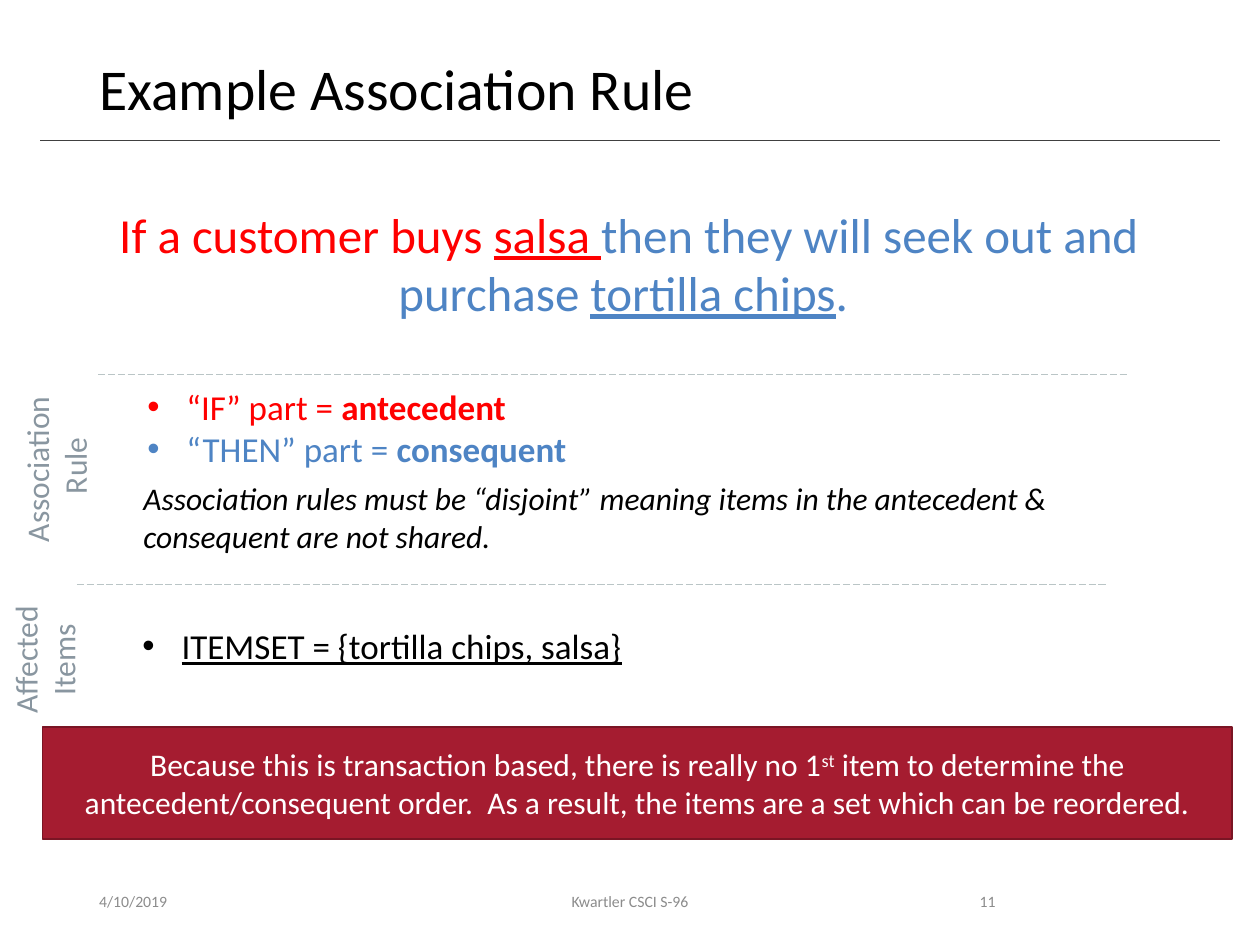
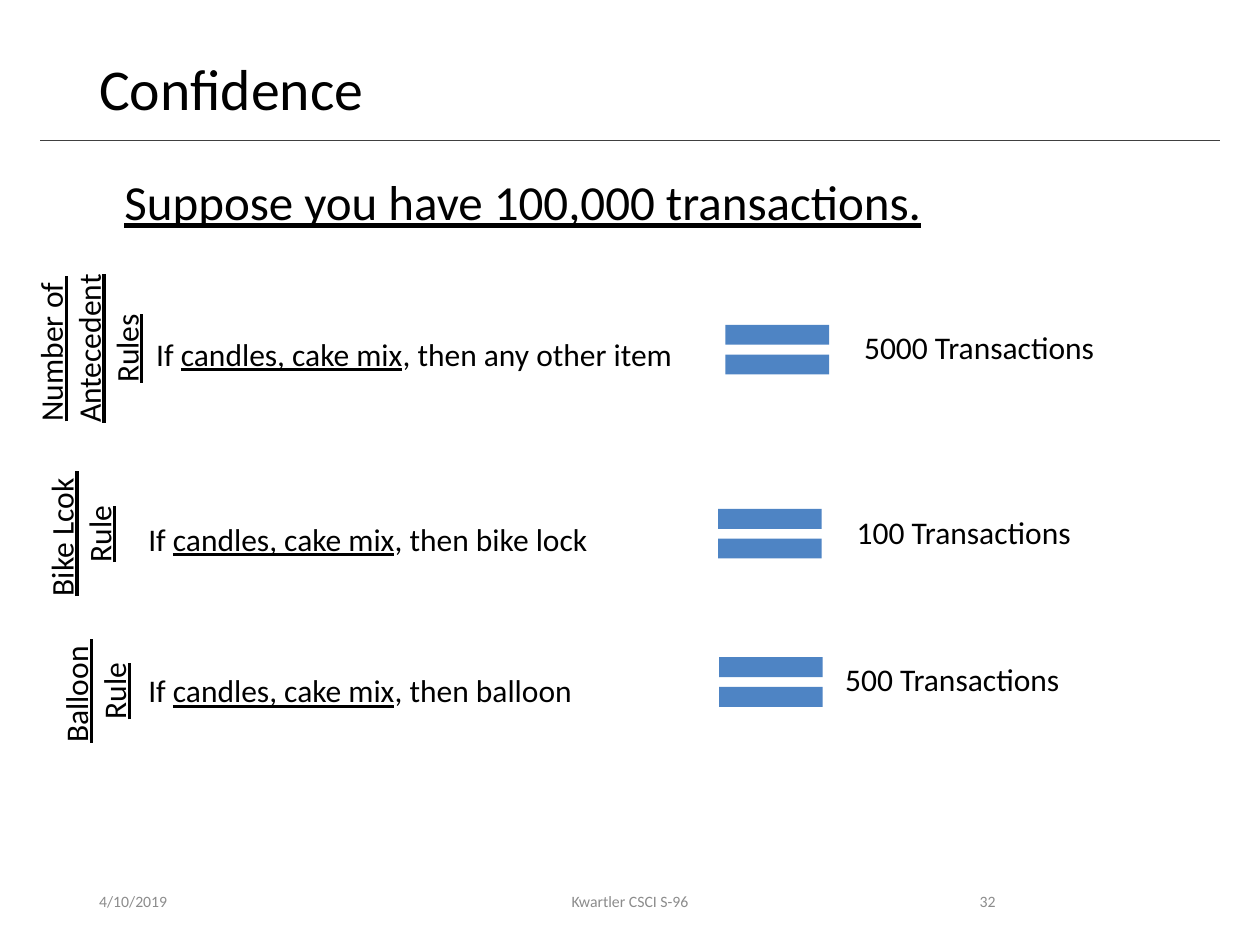
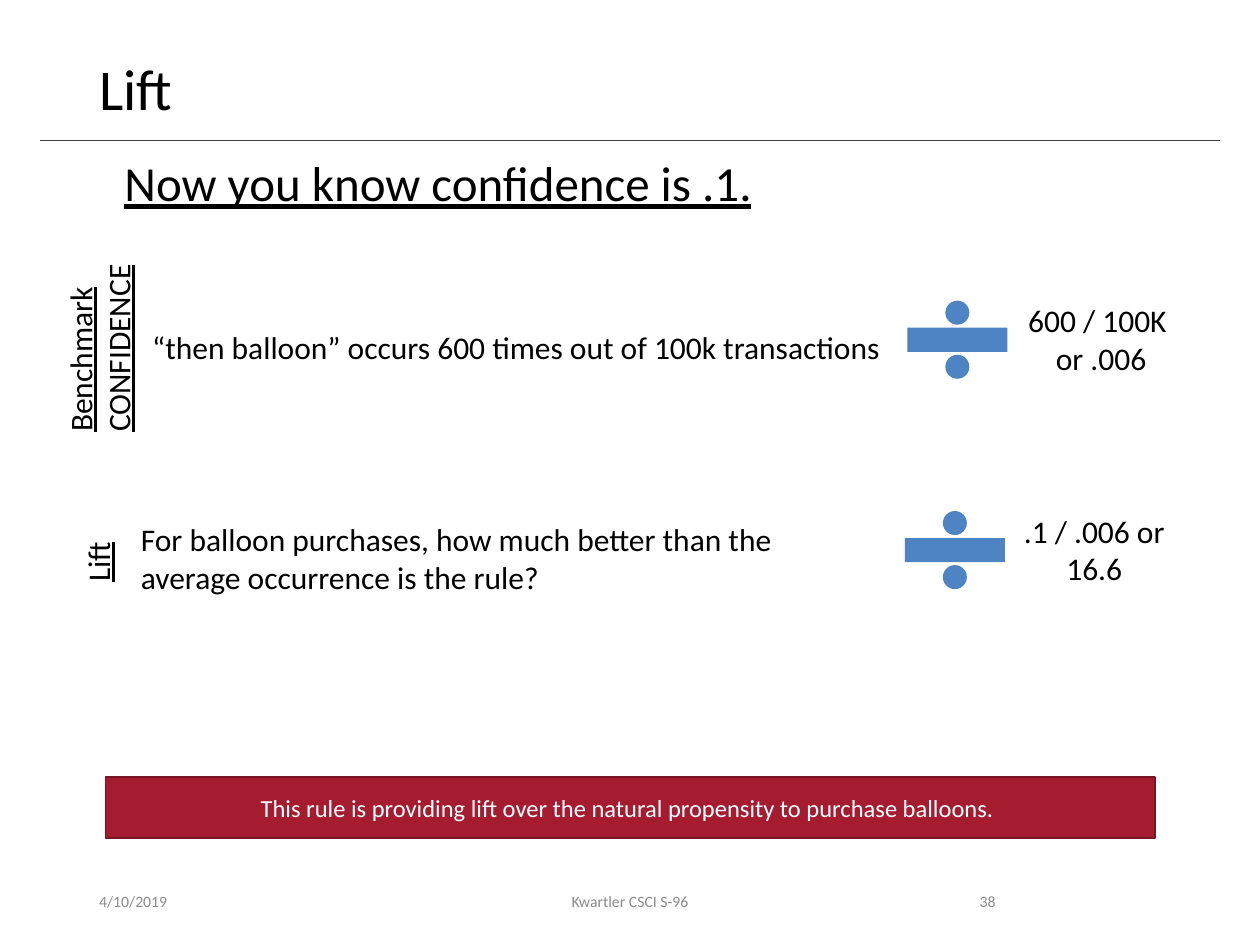
from dataclasses import dataclass

from lxml import etree
from pptx import Presentation
from pptx import util as u
from pptx.dml.color import RGBColor
from pptx.enum import dml, shapes, text
from pptx.oxml import ns

Cm = u.Cm
LEFT, CENTER, RIGHT = text.PP_ALIGN.LEFT, text.PP_ALIGN.CENTER, text.PP_ALIGN.RIGHT


@dataclass(frozen=True)
class Theme:
    font: str = "Calibri"
    ink: str = "000000"
    paper: str = "FFFFFF"
    muted: str = "8C8C8C"
    label: str = "8996A0"
    rule: str = "404040"
    divider: str = "BAC5C6"
    antecedent: str = "FF0000"
    accent: str = "4E84C4"
    crimson: str = "A51C30"
    crimson_edge: str = "7A1524"
    title_size: float = 33
    lead_size: float = 28
    bullet_size: float = 20
    body_size: float = 18
    small_size: float = 14
    footer_size: float = 9


THEME = Theme()


@dataclass(frozen=True)
class Box:
    """A place on the slide, in centimetres."""
    left: float
    top: float
    width: float
    height: float

    def lengths(self) -> tuple:
        return Cm(self.left), Cm(self.top), Cm(self.width), Cm(self.height)


@dataclass(frozen=True)
class Run:
    text: str
    color: str | None = None
    bold: bool = False
    italic: bool = False
    underline: bool = False
    raised: bool = False


@dataclass(frozen=True)
class Step:
    """One row: upright label, statement, operator sign and result."""
    label: list
    label_box: Box
    statement: list
    statement_box: Box
    sign_box: Box
    result: list
    result_box: Box
    wrap: bool = False


def rgb(code: str) -> RGBColor:
    return RGBColor.from_string(code)


def add_bullet(paragraph) -> None:
    properties = paragraph._p.get_or_add_pPr()
    properties.set("marL", str(Cm(0.79)))
    properties.set("indent", str(-Cm(0.79)))
    etree.SubElement(properties, ns.qn("a:buFont")).set("typeface", "Arial")
    etree.SubElement(properties, ns.qn("a:buChar")).set("char", "•")


def write(frame, paragraphs: list, *, size: float = THEME.body_size,
          color: str = THEME.ink, align=LEFT, anchor=text.MSO_ANCHOR.TOP,
          underline: bool = False, bullets: bool = False, wrap: bool = True,
          grow: bool = False, spacing: float | None = None) -> None:
    """Fill a frame; each paragraph is a string or a list of runs."""
    frame.word_wrap = wrap
    frame.vertical_anchor = anchor
    frame.auto_size = (text.MSO_AUTO_SIZE.SHAPE_TO_FIT_TEXT if grow
                       else text.MSO_AUTO_SIZE.NONE)
    for index, content in enumerate(paragraphs):
        paragraph = frame.add_paragraph() if index else frame.paragraphs[0]
        paragraph.alignment = align
        if spacing:
            paragraph.line_spacing = spacing
        if bullets:
            add_bullet(paragraph)
        for part in [Run(content)] if isinstance(content, str) else content:
            run = paragraph.add_run()
            run.text = part.text
            font = run.font
            font.name, font.size = THEME.font, u.Pt(size)
            font.color.rgb = rgb(part.color or color)
            font.bold, font.italic = part.bold, part.italic
            font.underline = underline or part.underline
            if part.raised:
                run._r.get_or_add_rPr().set("baseline", "30000")


def add_text(slide, box: Box, paragraphs: list, *, rotation: float = 0, **style) -> None:
    holder = slide.shapes.add_textbox(*box.lengths())
    holder.rotation = rotation
    write(holder.text_frame, paragraphs, **style)


def add_upright(slide, box: Box, lines: list, **style) -> None:
    add_text(slide, box, lines, rotation=270, wrap=False, grow=True, **style)


def add_line(slide, left: float, right: float, y: float, color: str, dash=None) -> None:
    line = slide.shapes.add_connector(shapes.MSO_CONNECTOR.STRAIGHT,
                                      Cm(left), Cm(y), Cm(right), Cm(y))
    line.line.color.rgb = rgb(color)
    line.line.width = u.Pt(0.5)
    if dash:
        line.line.dash_style = dash
    etree.SubElement(line._element.spPr, ns.qn("a:effectLst"))


def add_filled(slide, kind, box: Box, fill: str, edge: str | None = None):
    shape = slide.shapes.add_shape(kind, *box.lengths())
    shape.shadow.inherit = False
    shape.fill.solid()
    shape.fill.fore_color.rgb = rgb(fill)
    if edge:
        shape.line.color.rgb = rgb(edge)
        shape.line.width = u.Pt(1)
    else:
        shape.line.fill.background()
    return shape


def add_banner(slide, box: Box, message: list, size: float) -> None:
    banner = add_filled(slide, shapes.MSO_SHAPE.RECTANGLE, box,
                        THEME.crimson, THEME.crimson_edge)
    write(banner.text_frame, message, size=size, color=THEME.paper,
          align=CENTER, anchor=text.MSO_ANCHOR.MIDDLE)


def add_lead(slide, box: Box, sentence: str) -> None:
    add_text(slide, box, [sentence], size=THEME.lead_size, underline=True,
             wrap=False, grow=True)


def add_steps(slide, steps: list[Step], sign, label_align, result_align) -> None:
    for step in steps:
        add_text(slide, step.statement_box, step.statement, wrap=step.wrap, grow=True)
        add_upright(slide, step.label_box, step.label, underline=True, align=label_align)
        add_text(slide, step.result_box, step.result, align=result_align,
                 wrap=False, grow=True)
        add_filled(slide, sign, step.sign_box, THEME.accent)


def start_slide(deck, title: str, number: int):
    """Add a slide with the shared title, rule and footer."""
    slide = deck.slides.add_slide(deck.slide_layouts[6])
    add_line(slide, 0.81, 24.59, 2.84, THEME.rule)
    add_text(slide, Box(1.75, 1.02, 21.89, 1.65), [title], size=THEME.title_size,
             anchor=text.MSO_ANCHOR.MIDDLE, spacing=0.9)
    for left, width, content, align in (
            (1.75, 5.72, "4/10/2019", LEFT),
            (8.41, 8.58, "Kwartler CSCI S-96", CENTER),
            (17.93, 2.39, str(number), RIGHT)):
        add_text(slide, Box(left, 17.65, width, 1.02), [content], align=align,
                 size=THEME.footer_size, color=THEME.muted,
                 anchor=text.MSO_ANCHOR.MIDDLE)
    return slide


def build_association_rule(deck) -> None:
    slide = start_slide(deck, "Example Association Rule", 11)
    red, blue = THEME.antecedent, THEME.accent
    add_text(slide, Box(0.66, 3.99, 24.03, 2.64), [[
        Run("If a customer buys ", red),
        Run("salsa ", red, underline=True),
        Run("then they will seek out and purchase ", blue),
        Run("tortilla chips", blue, underline=True),
        Run(". ", blue),
    ]], size=THEME.lead_size, align=CENTER, grow=True)
    add_text(slide, Box(2.72, 7.65, 12.7, 1.96), [
        [Run("“IF” part = ", red), Run("antecedent", red, bold=True)],
        [Run("“THEN” part = ", blue), Run("consequent", blue, bold=True)],
    ], size=THEME.bullet_size, bullets=True, grow=True)
    for left, y in ((1.98, 7.54), (1.55, 11.79)):
        add_line(slide, left, left + 20.78, y, THEME.divider, dml.MSO_LINE.LONG_DASH)
    add_text(slide, Box(2.62, 12.47, 10.34, 1.12), ["ITEMSET = {tortilla chips, salsa}"],
             size=THEME.bullet_size, bullets=True, underline=True, wrap=False, grow=True)
    for box, lines in ((Box(-0.61, 8.56, 3.48, 1.8), ["Association", " Rule"]),
                       (Box(-0.46, 12.4, 2.72, 1.8), ["Affected", "Items"])):
        add_upright(slide, box, lines, color=THEME.label, align=CENTER)
    add_text(slide, Box(2.64, 9.53, 21.69, 1.8), [[
        Run("Association rules must be “disjoint” meaning items in the antecedent "
            "& consequent are not shared.", italic=True)]], grow=True)
    add_banner(slide, Box(0.86, 14.66, 23.98, 2.26), [[
        Run("Because this is transaction based, there is really no 1"),
        Run("st", raised=True),
        Run(" item to determine the antecedent/consequent order.  As a result, "
            "the items are a set which can be reordered."),
    ]], THEME.body_size)


def basket_rule(outcome: str) -> list:
    return [[Run("If "), Run("candles, cake mix", underline=True), Run(f", then {outcome}")]]


def build_confidence(deck) -> None:
    slide = start_slide(deck, "Confidence", 32)
    add_lead(slide, Box(2.26, 3.33, 16.79, 1.45), "Suppose you have 100,000 transactions.")
    steps = [
        Step(["Number of ", "Antecedent", "Rules"], Box(0.03, 5.74, 3.53, 2.57),
             basket_rule("any other item"), Box(2.9, 6.63, 11.05, 1.02),
             Box(14.25, 6.2, 2.84, 1.7),
             ["5000 Transactions"], Box(17.17, 6.48, 5.21, 1.02)),
        Step(["Bike Lcok ", "Rule"], Box(0.1, 9.86, 3.05, 1.8),
             basket_rule("bike lock"), Box(2.74, 10.36, 9.47, 1.02),
             Box(14.1, 9.91, 2.84, 1.7),
             ["100 Transactions"], Box(17.02, 10.21, 4.88, 1.02)),
        Step(["Balloon ", "Rule"], Box(0.61, 13.03, 2.62, 1.8),
             basket_rule("balloon"), Box(2.74, 13.41, 9.14, 1.02),
             Box(14.12, 12.9, 2.84, 1.7),
             ["500 Transactions"], Box(16.79, 13.18, 4.88, 1.02)),
    ]
    add_steps(slide, steps, shapes.MSO_SHAPE.MATH_EQUAL, CENTER, LEFT)


def build_lift(deck) -> None:
    slide = start_slide(deck, "Lift", 38)
    add_lead(slide, Box(2.26, 2.95, 13.31, 1.45), "Now you know confidence is .1.")
    steps = [
        Step(["Benchmark", "CONFIDENCE"], Box(0.05, 6.1, 3.91, 1.8),
             ["“then balloon” occurs 600 times out of 100k transactions"],
             Box(2.82, 6.48, 15.37, 1.02), Box(17.93, 5.82, 2.74, 2.06),
             ["600 / 100K", " or .006"], Box(20.45, 5.94, 3.35, 1.8)),
        Step(["Lift"], Box(1.22, 10.72, 1.5, 1.02),
             ["For balloon purchases, how much better than the average "
              "occurrence is the rule?"],
             Box(2.59, 10.36, 14.45, 1.8), Box(17.88, 10.06, 2.74, 2.06),
             [".1 / .006 or", "16.6"], Box(20.37, 10.19, 3.38, 1.8), wrap=True),
    ]
    add_steps(slide, steps, shapes.MSO_SHAPE.MATH_DIVIDE, LEFT, CENTER)
    add_banner(slide, Box(2.13, 15.67, 21.16, 1.22),
               ["This rule is providing lift over the natural propensity "
                "to purchase balloons. "], THEME.small_size)


def main() -> None:
    deck = Presentation()
    deck.slide_width, deck.slide_height = Cm(25.4), Cm(19.05)
    build_association_rule(deck)
    build_confidence(deck)
    build_lift(deck)
    deck.save("out.pptx")


if __name__ == "__main__":
    main()
